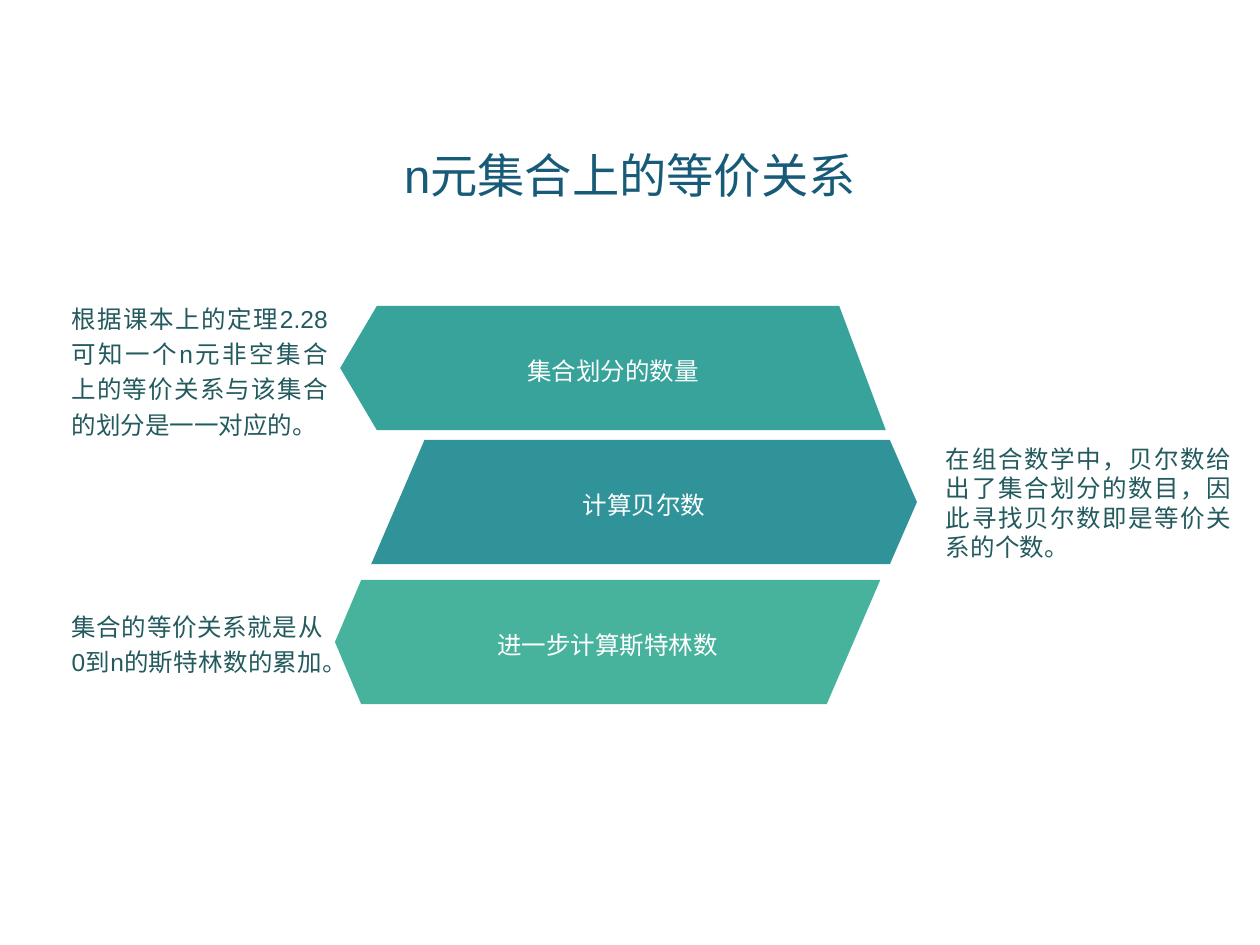
from dataclasses import dataclass

from pptx import Presentation
from pptx.dml.color import RGBColor
from pptx.enum.text import MSO_ANCHOR, MSO_AUTO_SIZE, PP_ALIGN
from pptx.util import Pt


@dataclass(frozen=True)
class Theme:
    font: str = "Arial"
    title_size: float = 27
    text_size: float = 14
    title: str = "175B78"
    note: str = "235A5E"
    label: str = "FFFFFF"
    teal: str = "38A39A"
    blue: str = "31939A"
    green: str = "48B39D"


@dataclass(frozen=True)
class Banner:
    text: str
    fill: str
    top: float
    outline: tuple[tuple[float, float], ...]


@dataclass(frozen=True)
class Note:
    text: str
    left: float
    top: float
    width: float
    height: float
    spacing: float


THEME = Theme()
BANNER_HEIGHT = 71

BANNERS = (
    Banner("集合划分的数量", THEME.teal, 174.8,
           ((215.4, 0), (479.6, 0), (506.2, 1), (215.4, 1), (194.4, 0.5))),
    Banner("计算贝尔数", THEME.blue, 251.4,
           ((242.6, 0), (508.5, 0), (524, 0.5), (508.5, 1), (212.1, 1))),
    Banner("进一步计算斯特林数", THEME.green, 331.4,
           ((206.4, 0), (503, 0), (472.4, 1), (206.4, 1), (191.4, 0.5))),
)

NOTES = (
    Note("根据课本上的定理2.28可知一个n元非空集合上的等价关系与该集合的划分是一一对应的。",
         33.8, 177.8, 160.6, 65.5, 1.2),
    Note("集合的等价关系就是从0到n的斯特林数的累加。",
         33.8, 341.3, 157.7, 50.4, 1.2),
    Note("在组合数学中，贝尔数给出了集合划分的数目，因此寻找贝尔数即是等价关系的个数。",
         533.5, 247, 177.1, 80.6, 1),
)


def write(shape, text: str, size: float, color: str,
          align: PP_ALIGN, spacing: float = 1.2) -> None:
    tf = shape.text_frame
    tf.word_wrap = True
    tf.auto_size = MSO_AUTO_SIZE.NONE
    tf.vertical_anchor = MSO_ANCHOR.MIDDLE
    p = tf.paragraphs[0]
    p.alignment = align
    p.line_spacing = spacing
    r = p.add_run()
    r.text = text
    r.font.name = THEME.font
    r.font.size = Pt(size)
    r.font.color.rgb = RGBColor.from_string(color)


def add_title(s, text: str) -> None:
    sp = s.shapes.title
    sp.left, sp.top, sp.width, sp.height = Pt(49.7), Pt(73.4), Pt(620.6), Pt(46)
    tf = sp.text_frame
    tf.margin_left = tf.margin_right = Pt(5)
    tf.margin_top = tf.margin_bottom = Pt(3)
    write(sp, text, THEME.title_size, THEME.title, PP_ALIGN.CENTER)


def add_banner(s, banner: Banner) -> None:
    points = [(Pt(x), Pt(banner.top + y * BANNER_HEIGHT)) for x, y in banner.outline]
    builder = s.shapes.build_freeform(*points[0])
    builder.add_line_segments(points[1:], close=True)
    sp = builder.convert_to_shape()
    sp.shadow.inherit = False
    sp.fill.solid()
    sp.fill.fore_color.rgb = RGBColor.from_string(banner.fill)
    sp.line.fill.background()
    write(sp, banner.text, THEME.text_size, THEME.label, PP_ALIGN.CENTER)


def add_note(s, note: Note) -> None:
    sp = s.shapes.add_textbox(Pt(note.left), Pt(note.top), Pt(note.width), Pt(note.height))
    write(sp, note.text, THEME.text_size, THEME.note, PP_ALIGN.JUSTIFY, note.spacing)


prs = Presentation()
prs.slide_width, prs.slide_height = Pt(720), Pt(540)
s = prs.slides.add_slide(prs.slide_layouts.get_by_name("Title Only"))
add_title(s, "n元集合上的等价关系")
for banner in BANNERS:
    add_banner(s, banner)
for note in NOTES:
    add_note(s, note)
prs.save("out.pptx")
